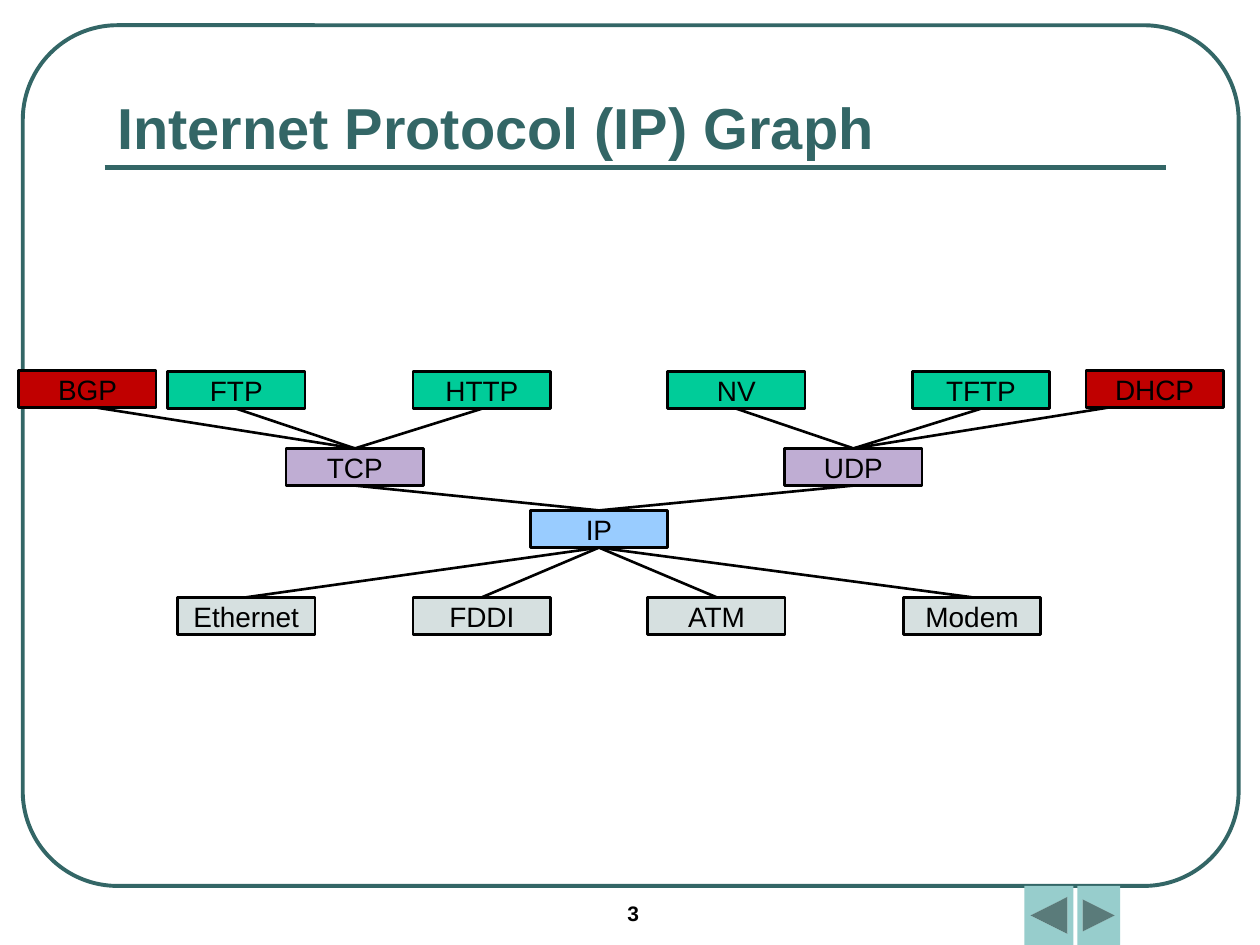
from dataclasses import dataclass

import pptx
import pptx.dml.color
import pptx.enum.shapes
import pptx.enum.text
import pptx.oxml.ns
import pptx.util
from lxml import etree

Cm, Pt = pptx.util.Cm, pptx.util.Pt
SHAPE = pptx.enum.shapes.MSO_SHAPE
ANCHOR = pptx.enum.text.MSO_ANCHOR
ALIGN = pptx.enum.text.PP_ALIGN


@dataclass(frozen=True)
class Theme:
    font: str = "Arial"
    accent: str = "336666"
    ink: str = "000000"
    button: str = "97CDCC"
    routing: str = "C00000"
    application: str = "00CC99"
    transport: str = "BFADD3"
    internet: str = "99CCFF"
    network: str = "D6E0E0"
    title_size: float = 33
    node_size: float = 16
    number_size: float = 12
    frame_width: float = 2.25
    rule_width: float = 3
    node_width: float = 1.5


THEME = Theme()
NODE_W, NODE_H = 2.77, 0.75

# name: (left, top, fill), in cm within the graph
NODES = {
    "BGP": (0, 0, THEME.routing),
    "FTP": (3, 0.02, THEME.application),
    "HTTP": (7.95, 0.02, THEME.application),
    "NV": (13.08, 0.02, THEME.application),
    "TFTP": (18.01, 0.02, THEME.application),
    "DHCP": (21.51, 0, THEME.routing),
    "TCP": (5.39, 1.57, THEME.transport),
    "UDP": (15.44, 1.57, THEME.transport),
    "IP": (10.31, 2.82, THEME.internet),
    "Ethernet": (3.2, 4.57, THEME.network),
    "FDDI": (7.95, 4.57, THEME.network),
    "ATM": (12.68, 4.57, THEME.network),
    "Modem": (17.83, 4.57, THEME.network),
}
EDGES = {
    "TCP": ["BGP", "FTP", "HTTP"],
    "UDP": ["NV", "TFTP", "DHCP"],
    "IP": ["TCP", "UDP"],
    "Ethernet": ["IP"],
    "FDDI": ["IP"],
    "ATM": ["IP"],
    "Modem": ["IP"],
}
# Sideways shift of a line's start from the middle of its node
START_SHIFT = {"BGP": 0.19, "DHCP": -0.95}


def rgb(value):
    return pptx.dml.color.RGBColor.from_string(value)


def write(tf, text, size, color=THEME.ink, bold=False, align=ALIGN.LEFT,
          anchor=ANCHOR.TOP, wrap=True):
    tf.word_wrap = wrap
    tf.auto_size = pptx.enum.text.MSO_AUTO_SIZE.NONE
    tf.vertical_anchor = anchor
    p = tf.paragraphs[0]
    p.alignment = align
    r = p.add_run()
    r.text = text
    r.font.name, r.font.size, r.font.bold = THEME.font, Pt(size), bold
    r.font.color.rgb = rgb(color)


def add_box(s, kind, box, fill=None, line=None, width=1):
    sp = s.shapes.add_shape(kind, *map(Cm, box))
    sp.shadow.inherit = False
    if fill:
        sp.fill.solid()
        sp.fill.fore_color.rgb = rgb(fill)
    else:
        sp.fill.background()
    if line:
        sp.line.color.rgb = rgb(line)
        sp.line.width = Pt(width)
    else:
        sp.line.fill.background()
    return sp


def add_line(s, x1, y1, x2, y2, color, width):
    line = s.shapes.add_connector(pptx.enum.shapes.MSO_CONNECTOR.STRAIGHT,
                                  *map(Cm, (x1, y1, x2, y2)))
    line.line.color.rgb = rgb(color)
    line.line.width = Pt(width)
    etree.SubElement(line._element.spPr, pptx.oxml.ns.qn("a:effectLst"))
    return line


def add_frame(s, box):
    sp = add_box(s, SHAPE.ROUNDED_RECTANGLE, box, line=THEME.accent,
                 width=THEME.frame_width)
    sp.adjustments[0] = 0.11


def add_title(s, box, text):
    left, top, width, height = box
    add_line(s, left, top + height, left + width, top + height,
             THEME.accent, THEME.rule_width)
    title = s.shapes.title
    title.left, title.top, title.width, title.height = map(Cm, box)
    write(title.text_frame, text, THEME.title_size, color=THEME.accent,
          bold=True, anchor=ANCHOR.BOTTOM)


def add_footer(s, box, number):
    """Page number and the two navigation buttons."""
    left, top, width, height = box
    sp = s.shapes.add_textbox(Cm(left), Cm(top + 0.17), Cm(2.97), Cm(0.84))
    write(sp.text_frame, number, THEME.number_size, bold=True)
    back_w, next_w = 0.99, 0.86
    next_left = left + width - next_w
    add_box(s, SHAPE.ACTION_BUTTON_BACK_OR_PREVIOUS,
            (next_left - 0.08 - back_w, top, back_w, height), THEME.button)
    add_box(s, SHAPE.ACTION_BUTTON_FORWARD_OR_NEXT,
            (next_left, top, next_w, height), THEME.button)


def add_graph(s, left, top):
    for name, (x, y, fill) in NODES.items():
        sp = add_box(s, SHAPE.RECTANGLE, (left + x, top + y, NODE_W, NODE_H),
                     fill, THEME.ink, THEME.node_width)
        write(sp.text_frame, name, THEME.node_size, align=ALIGN.CENTER,
              anchor=ANCHOR.MIDDLE, wrap=False)
    for lower, uppers in EDGES.items():
        x2, y2, _ = NODES[lower]
        for upper in uppers:
            x1, y1, _ = NODES[upper]
            add_line(s, left + x1 + NODE_W / 2 + START_SHIFT.get(upper, 0),
                     top + y1 + NODE_H, left + x2 + NODE_W / 2, top + y2,
                     THEME.ink, THEME.node_width)


def main():
    prs = pptx.Presentation()
    prs.slide_width, prs.slide_height = Cm(25.4), Cm(19.05)
    s = prs.slides.add_slide(prs.slide_layouts[5])
    add_frame(s, (0.46, 0.51, 24.51, 17.35))
    add_title(s, (2.11, 1.47, 21.39, 1.91), "Internet Protocol (IP) Graph")
    add_footer(s, (12.4, 17.86, 10.18, 1.19), "3")
    add_graph(s, 0.38, 7.47)
    prs.save("out.pptx")


if __name__ == "__main__":
    main()
